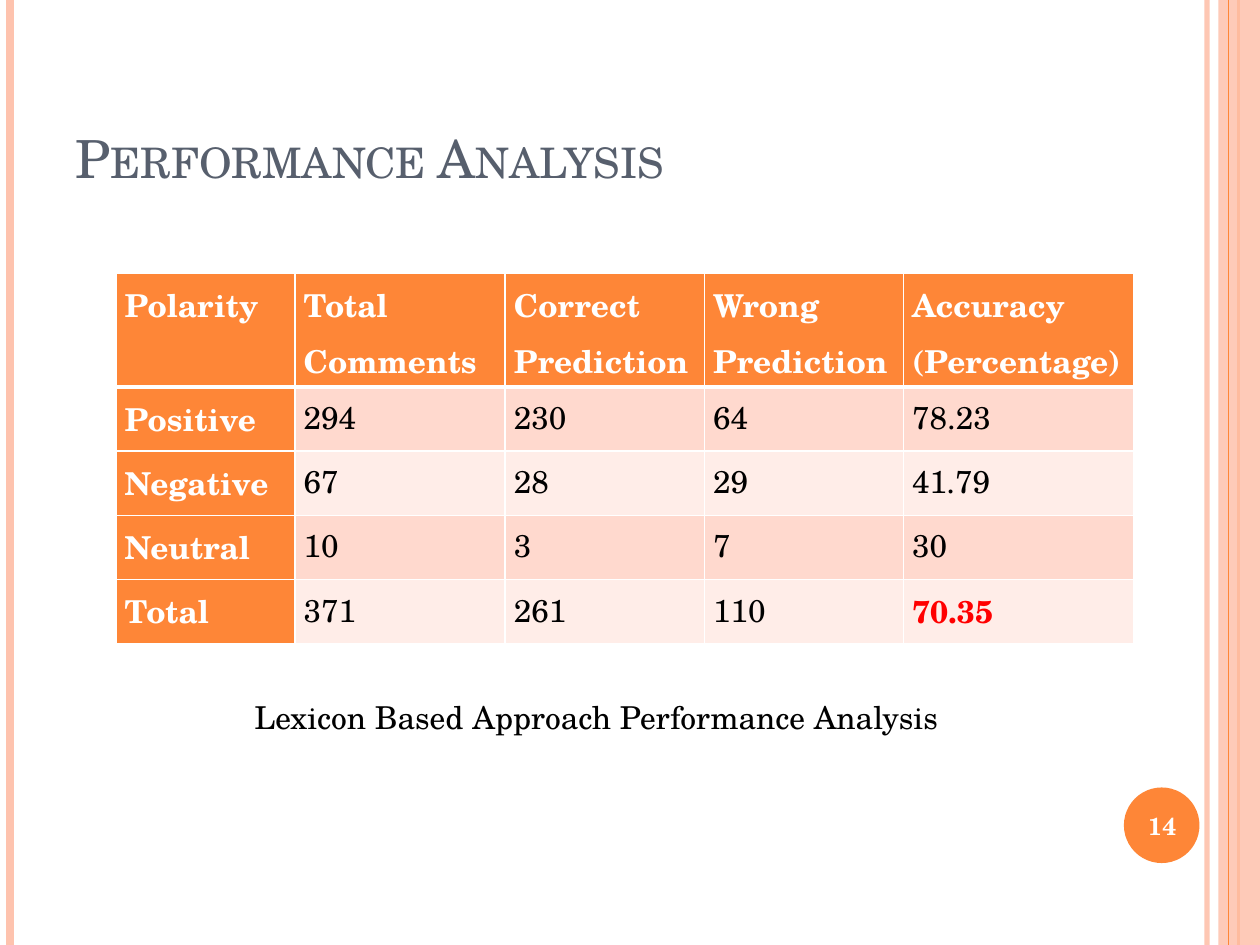
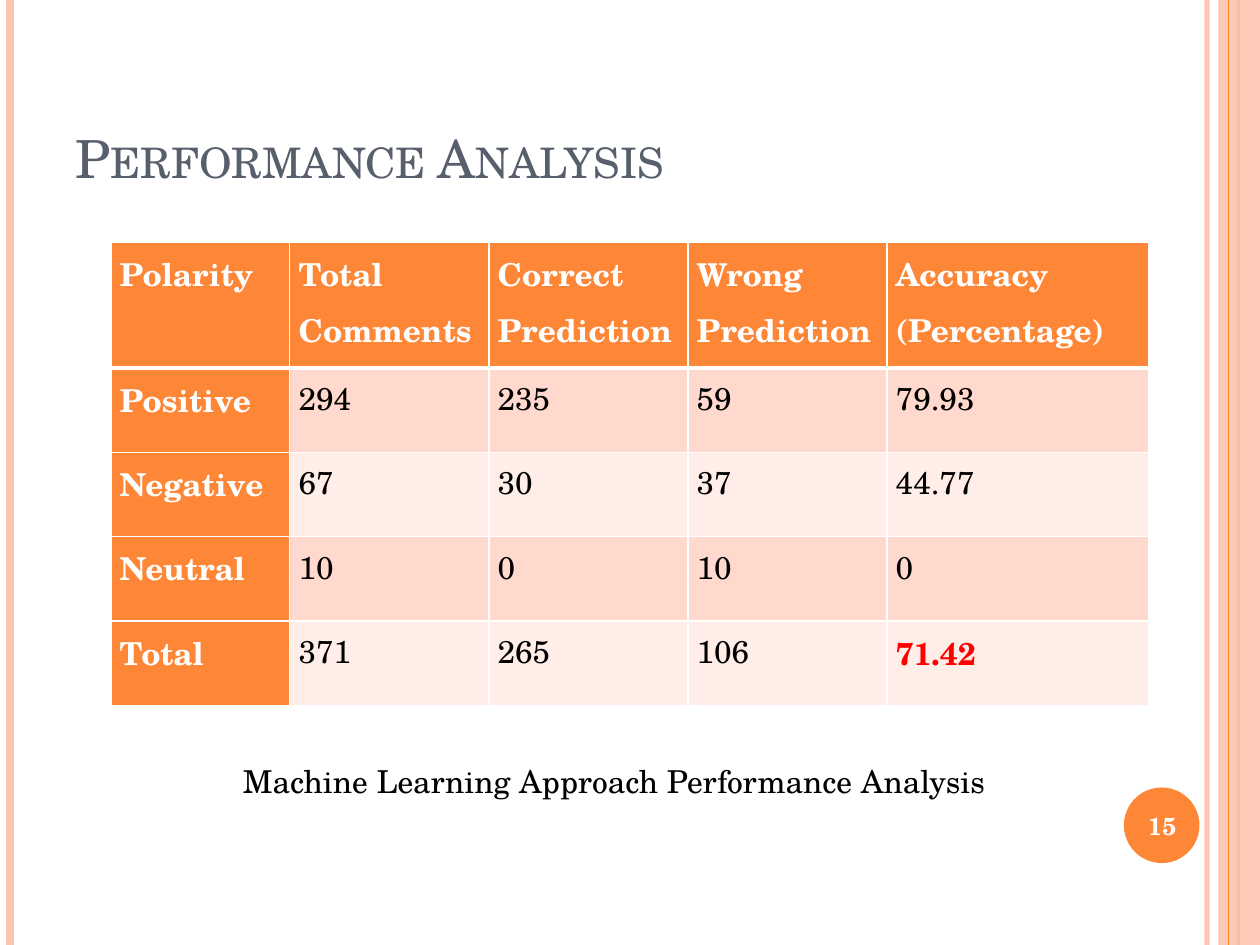
from lxml import etree
from pptx import Presentation
from pptx.dml.color import RGBColor
from pptx.enum import shapes, text
from pptx.oxml.ns import qn
from pptx.util import Inches, Pt

FONT = "TeX Gyre Schola"
COLORS = {
    "accent": "FE8637", "peach": "FEC3AE", "slate": "575F6D", "white": "FFFFFF",
    "black": "000000", "red": "FF0000", "band_dark": "FFD9CE", "band_light": "FFEDE8",
}
TITLE = "Performance Analysis"
HEADER = ("Polarity", "Total Comments", "Correct Prediction", "Wrong Prediction",
          "Accuracy\n(Percentage)")
SLIDES = [
    {
        "number": 14,
        "rows": [
            ("Positive", "294", "230", "64", "78.23"),
            ("Negative", "67", "28", "29", "41.79"),
            ("Neutral", "10", "3", "7", "30"),
            ("Total", "371", "261", "110", "70.35"),
        ],
        "table_at": (0.92, 2.17),
        "widths": (1.42, 1.67, 1.58, 1.58, 1.83),
        "heights": (0.9, 0.51),
        "caption": "Lexicon Based Approach Performance Analysis",
        "caption_at": (1.92, 5.49, 5.7, 0.4),
    },
    {
        "number": 15,
        "rows": [
            ("Positive", "294", "235", "59", "79.93"),
            ("Negative", "67", "30", "37", "44.77"),
            ("Neutral", "10", "0", "10", "0"),
            ("Total", "371", "265", "106", "71.42"),
        ],
        "table_at": (0.88, 1.92),
        "widths": (1.42, 1.58, 1.58, 1.58, 2.08),
        "heights": (1, 0.67),
        "caption": "Machine Learning Approach Performance Analysis",
        "caption_at": (1.83, 6, 6.33, 0.4),
    },
]


def rgb(name):
    return RGBColor.from_string(COLORS[name])


def inches(values):
    return [Inches(value) for value in values]


def set_font(para, size, color, bold=False):
    font = para.font
    font.name, font.size, font.bold = FONT, Pt(size), bold
    font.color.rgb = rgb(color)


def set_opacity(shape, percent):
    for color in shape.element.iter(qn("a:srgbClr")):
        etree.SubElement(color, qn("a:alpha"), val=str(percent * 1000))


def add_rule(slide, x, color, width):
    """Draw a line down the full height of the slide."""
    rule = slide.shapes.add_connector(
        shapes.MSO_CONNECTOR.STRAIGHT, *inches((x, 0, x, 7.5)))
    rule.line.color.rgb = rgb(color)
    rule.line.width = Pt(width)
    etree.SubElement(rule.element.spPr, qn("a:effectLst"))
    return rule


def add_solid(slide, kind, place, color):
    shape = slide.shapes.add_shape(kind, *inches(place))
    shape.shadow.inherit = False
    shape.fill.solid()
    shape.fill.fore_color.rgb = rgb(color)
    shape.line.fill.background()
    return shape


def decorate_layout(layout, slide):
    """Draw the shared bands on a slide, then move them to its layout."""
    inner_rule = add_rule(slide, 9.58, "peach", 3)
    set_opacity(inner_rule, 93)
    left_rule = add_rule(slide, 0.08, "peach", 4.5)
    edge_rule = add_rule(slide, 9.83, "accent", 1.5)
    band = add_solid(slide, shapes.MSO_SHAPE.RECTANGLE, (9.67, 0, 0.33, 7.5), "peach")
    set_opacity(band, 87)
    band_rule = add_rule(slide, 9.75, "accent", 0.75)
    badge = add_solid(slide, shapes.MSO_SHAPE.OVAL, (8.92, 6.25, 0.6, 0.6), "accent")
    for part in (inner_rule, left_rule, edge_rule, band, band_rule, badge):
        layout.shapes.element.append(part.element)


def place_title(layout):
    title = layout.placeholders[0]
    title.left, title.top, title.width, title.height = inches((0.5, 0.3, 8.17, 1.25))
    title.text_frame.vertical_anchor = text.MSO_ANCHOR.BOTTOM


def add_title(slide):
    para = slide.shapes.title.text_frame.paragraphs[0]
    span = para.add_run()
    span.text = TITLE
    para.alignment = text.PP_ALIGN.LEFT
    set_font(para, 30, "slate")
    span.font.element.set("cap", "small") if hasattr(span.font, "element") else \
        span._r.get_or_add_rPr().set("cap", "small")


def add_text(slide, place, words, size, color, bold=False):
    box = slide.shapes.add_textbox(*inches(place))
    box.text_frame.word_wrap = True
    para = box.text_frame.paragraphs[0]
    para.text = words
    set_font(para, size, color, bold)
    return box


def add_number(slide, number):
    box = add_text(slide, (8.89, 6.27, 0.67, 0.57), str(number), 14, "white", True)
    box.text_frame.vertical_anchor = text.MSO_ANCHOR.MIDDLE
    box.text_frame.paragraphs[0].alignment = text.PP_ALIGN.CENTER


def set_borders(cell, bottom):
    """Give a cell white borders; they must precede its fill."""
    properties = cell._tc.get_or_add_tcPr()
    for side, width in (("L", 1), ("R", 1), ("T", 1), ("B", bottom)):
        border = etree.SubElement(properties, qn(f"a:ln{side}"), w=str(Pt(width)))
        fill = etree.SubElement(border, qn("a:solidFill"))
        etree.SubElement(fill, qn("a:srgbClr"), val=COLORS["white"])


def add_results(slide, content):
    rows = [HEADER, *content["rows"]]
    widths = content["widths"]
    header_height, row_height = content["heights"]
    heights = [header_height] + [row_height] * len(content["rows"])
    place = (*content["table_at"], sum(widths), sum(heights))
    table = slide.shapes.add_table(len(rows), len(widths), *inches(place)).table
    table.first_col = True
    for column, width in zip(table.columns, widths):
        column.width = Inches(width)
    for row, height in zip(table.rows, heights):
        row.height = Inches(height)
    last = len(rows) - 1, len(widths) - 1
    for r, values in enumerate(rows):
        for c, value in enumerate(values):
            heading = r == 0 or c == 0
            total = (r, c) == last
            cell = table.cell(r, c)
            cell.text = value
            cell.margin_left = cell.margin_right = Inches(0.07)
            cell.margin_top = cell.margin_bottom = 0
            set_borders(cell, 3 if r == 0 else 1)
            cell.fill.solid()
            band = "band_dark" if r % 2 else "band_light"
            cell.fill.fore_color.rgb = rgb("accent" if heading else band)
            color = "white" if heading else "red" if total else "black"
            for para in cell.text_frame.paragraphs:
                para.line_spacing = 1.15
                set_font(para, 18, color, heading or total)


def main():
    deck = Presentation()
    deck.slide_width, deck.slide_height = inches((10, 7.5))
    layout = deck.slide_layouts[5]
    place_title(layout)
    for index, content in enumerate(SLIDES):
        slide = deck.slides.add_slide(layout)
        if index == 0:
            decorate_layout(layout, slide)
        add_title(slide)
        add_results(slide, content)
        add_number(slide, content["number"])
        add_text(slide, content["caption_at"], content["caption"], 18, "black")
    deck.save("out.pptx")


if __name__ == "__main__":
    main()
